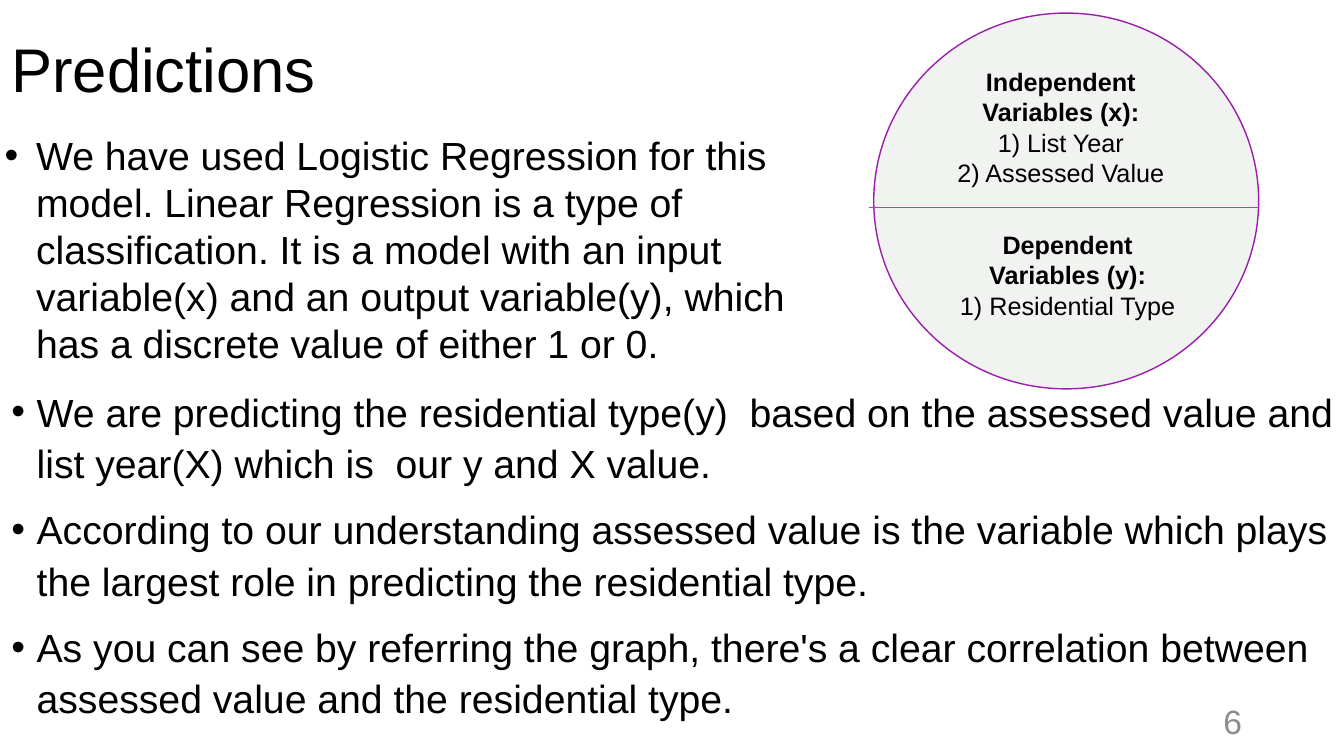
"""Build the slide on predictions with its diagram of variables."""
from dataclasses import dataclass

from lxml import etree
from pptx import Presentation
from pptx.dml.color import RGBColor
from pptx.enum.shapes import MSO_CONNECTOR, MSO_SHAPE
from pptx.enum.text import MSO_ANCHOR, MSO_AUTO_SIZE, PP_ALIGN
from pptx.oxml.ns import qn
from pptx.util import Cm, Pt

LEFT, CENTER, RIGHT = PP_ALIGN.LEFT, PP_ALIGN.CENTER, PP_ALIGN.RIGHT
TOP, MIDDLE = MSO_ANCHOR.TOP, MSO_ANCHOR.MIDDLE
NO_AUTOFIT = MSO_AUTO_SIZE.NONE
STRAIGHT, OVAL = MSO_CONNECTOR.STRAIGHT, MSO_SHAPE.OVAL

FONT = "Arial"
COLORS = {
    "text": "000000",
    "number": "8C8C8C",
    "circle": "F1F3F0",
    "outline": "9A1EAB",
    "divider": "D029E7",
}


@dataclass(frozen=True)
class Box:
    """Position and size in centimetres."""

    left: float
    top: float
    width: float
    height: float


@dataclass(frozen=True)
class Style:
    """Format shared by the paragraphs of one text block."""

    size: float
    color: str = "text"
    align: PP_ALIGN = LEFT
    anchor: MSO_ANCHOR = TOP
    line_spacing: float = 1.0
    space_before: float = 0
    bullet_indent: float = 0
    bold_heading: bool = False


@dataclass(frozen=True)
class TextBlock:
    """A text box with its lines and style."""

    box: Box
    lines: tuple[str, ...]
    style: Style


TITLE = TextBlock(
    Box(0.03, 0, 21.74, 3.68),
    ("Predictions",),
    Style(44, anchor=MIDDLE, line_spacing=0.9),
)
BODY = TextBlock(
    Box(0.03, 9.53, 33.86, 9.53),
    (
        "We are predicting the residential type(y)  based on the assessed value and "
        "list year(X) which is  our y and X value.",
        "According to our understanding assessed value is the variable which plays "
        "the largest role in predicting the residential type.",
        "As you can see by referring the graph, there's a clear correlation "
        "between assessed value and the residential type.",
    ),
    Style(28, line_spacing=1.1, space_before=10, bullet_indent=0.64),
)
VARIABLES = Style(18, align=CENTER, bold_heading=True)
TEXT_BOXES = (
    TextBlock(
        Box(23.93, 17.65, 7.62, 1.02),
        ("6",),
        Style(24, color="number", align=RIGHT, anchor=MIDDLE),
    ),
    TextBlock(
        Box(23.65, 1.55, 6.17, 3.33),
        ("Independent Variables (x):", "1) List Year", "2) Assessed Value"),
        VARIABLES,
    ),
    TextBlock(
        Box(23.83, 5.66, 6.15, 2.57),
        ("Dependent Variables (y):", "1) Residential Type"),
        VARIABLES,
    ),
    TextBlock(
        Box(-0.13, 3.18, 21.44, 6.25),
        (
            "We have used Logistic Regression for this model. Linear Regression is a "
            "type of classification. It is a model with an input variable(x) and an "
            "output variable(y), which has a discrete value of either 1 or 0.",
        ),
        Style(28, bullet_indent=0.79),
    ),
)
CIRCLE = Box(22.02, 0.33, 9.7, 9.47)
DIVIDER = Box(21.89, 5.23, 9.83, 0)


def rgb(name: str) -> RGBColor:
    """Return the named colour."""
    return RGBColor.from_string(COLORS[name])


def lengths(box: Box) -> tuple[Cm, Cm, Cm, Cm]:
    """Return the left, top, width and height of a box."""
    return Cm(box.left), Cm(box.top), Cm(box.width), Cm(box.height)


def add_bullet(paragraph, indent: float) -> None:
    """Give a paragraph a round bullet with a hanging indent."""
    properties = paragraph._p.get_or_add_pPr()
    properties.set("marL", str(Cm(indent)))
    properties.set("indent", str(-Cm(indent)))
    etree.SubElement(properties, qn("a:buFont")).set("typeface", FONT)
    etree.SubElement(properties, qn("a:buChar")).set("char", "•")


def write_text(shape, block: TextBlock) -> None:
    """Place a shape and fill it with the formatted lines of a block."""
    style = block.style
    shape.left, shape.top, shape.width, shape.height = lengths(block.box)
    frame = shape.text_frame
    frame.word_wrap = True
    frame.auto_size = NO_AUTOFIT
    frame.vertical_anchor = style.anchor
    frame.text = "\n".join(block.lines)
    for index, paragraph in enumerate(frame.paragraphs):
        paragraph.alignment = style.align
        paragraph.line_spacing = style.line_spacing
        paragraph.space_before = Pt(style.space_before)
        if style.bullet_indent:
            add_bullet(paragraph, style.bullet_indent)
        font = paragraph.font
        font.name = FONT
        font.size = Pt(style.size)
        font.bold = style.bold_heading and index == 0
        font.color.rgb = rgb(style.color)


def draw_circle(slide) -> None:
    """Draw the circle and the line that divides it."""
    circle = slide.shapes.add_shape(OVAL, *lengths(CIRCLE))
    circle.shadow.inherit = False
    circle.fill.solid()
    circle.fill.fore_color.rgb = rgb("circle")
    circle.line.color.rgb = rgb("outline")
    circle.line.width = Pt(1)

    left, top, width, height = lengths(DIVIDER)
    divider = slide.shapes.add_connector(STRAIGHT, left, top, left + width, top + height)
    divider.line.color.rgb = rgb("divider")
    divider.line.width = Pt(0.5)
    etree.SubElement(divider._element.spPr, qn("a:effectLst"))


def main() -> None:
    """Create the presentation and save it."""
    presentation = Presentation()
    presentation.slide_width = Cm(33.87)
    presentation.slide_height = Cm(19.05)
    slide = presentation.slides.add_slide(presentation.slide_layouts[1])
    write_text(slide.shapes.title, TITLE)
    write_text(slide.placeholders[1], BODY)
    draw_circle(slide)
    for block in TEXT_BOXES:
        write_text(slide.shapes.add_textbox(*lengths(block.box)), block)
    presentation.save("out.pptx")


if __name__ == "__main__":
    main()
